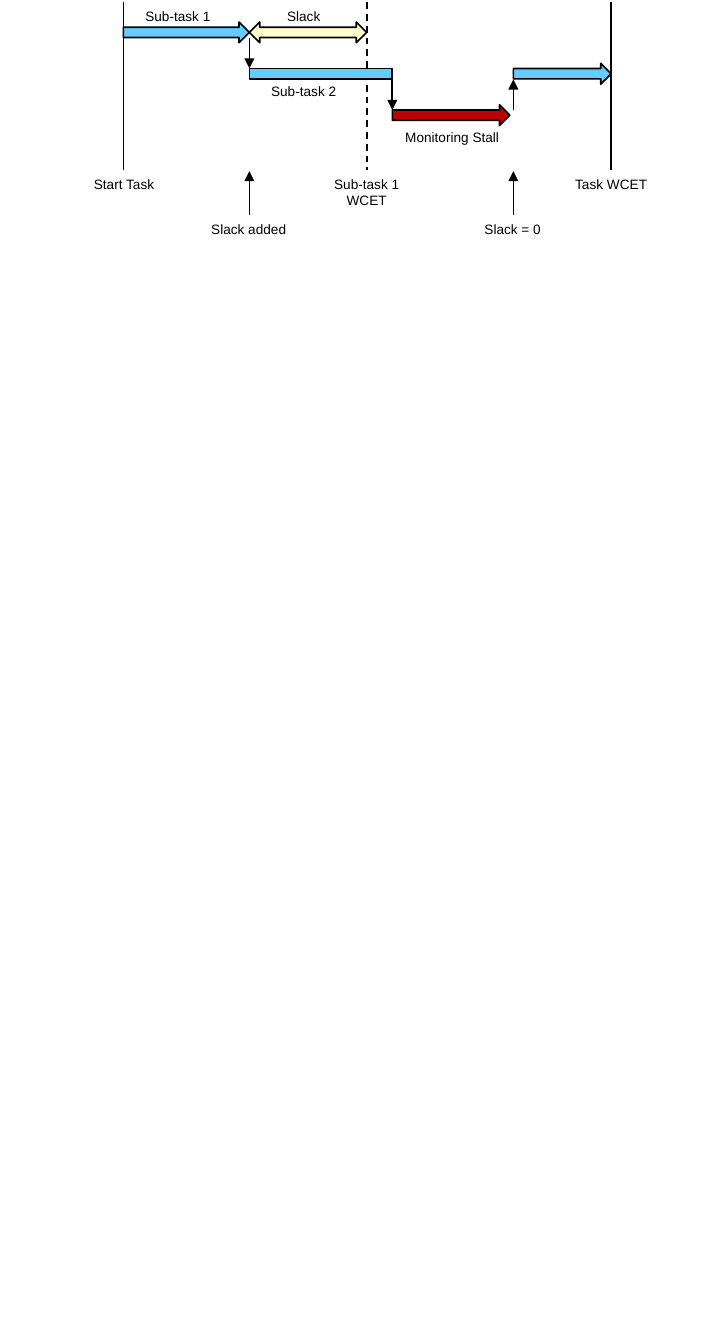
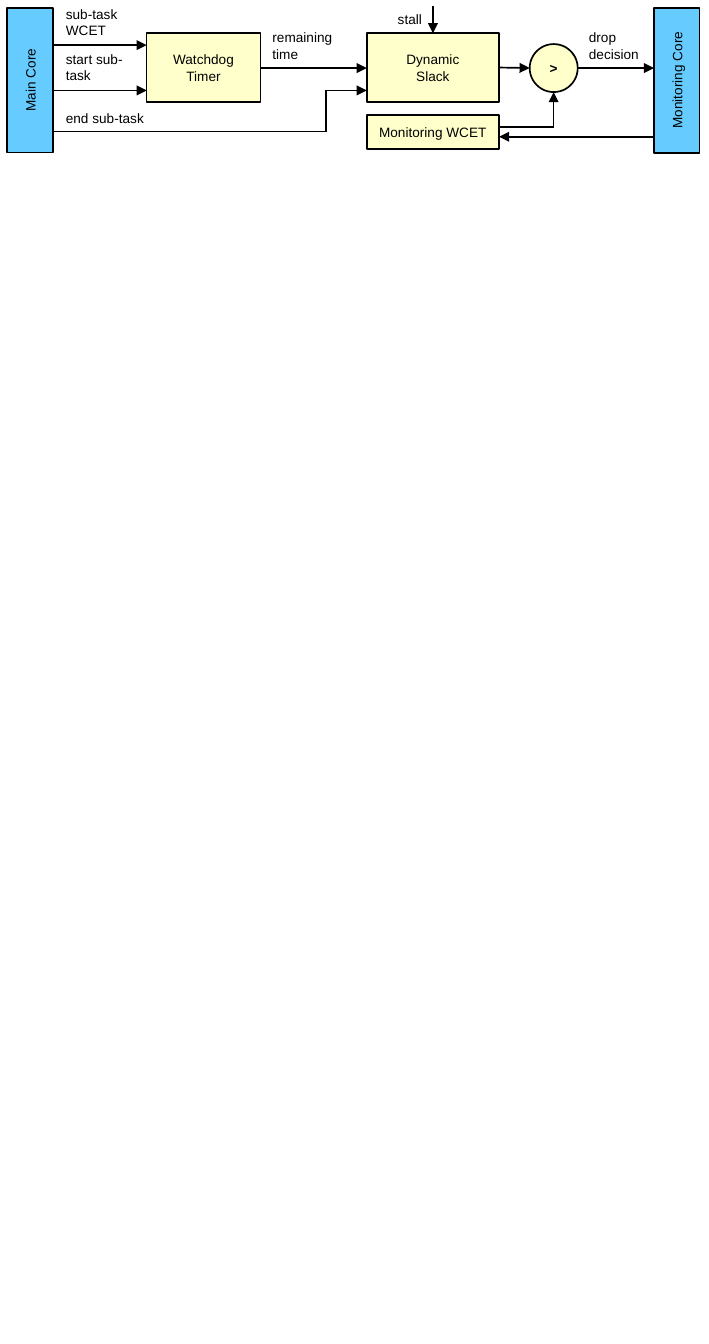
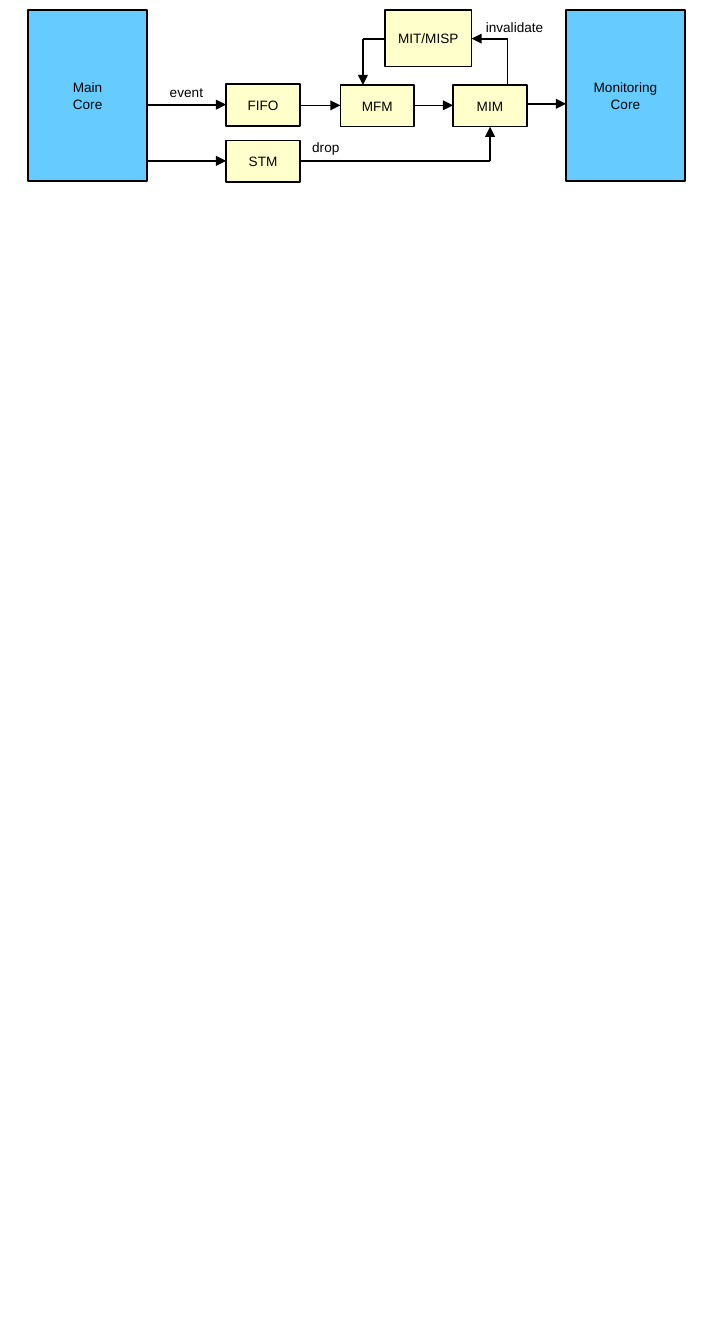
from lxml.etree import SubElement
from pptx import Presentation
from pptx.dml.color import RGBColor
from pptx.enum.dml import MSO_LINE
from pptx.enum.shapes import MSO_CONNECTOR, MSO_SHAPE as SHAPE
from pptx.enum.text import MSO_ANCHOR, MSO_AUTO_SIZE, PP_ALIGN as AL
from pptx.oxml.ns import qn
from pptx.util import Pt

# Shared style
BLACK = RGBColor(0x00, 0x00, 0x00)
BLUE = RGBColor(0x66, 0xCC, 0xFF)
CREAM = RGBColor(0xFF, 0xFF, 0xCC)
RED = RGBColor(0xC0, 0x00, 0x00)
FONT, SIZE, LINE = "Arial", 8, 1
LABEL_HEIGHT = {1: 17.3, 2: 26.6}
RECT, RIGHT, BOTH, OVAL = (SHAPE.RECTANGLE, SHAPE.RIGHT_ARROW,
                           SHAPE.LEFT_RIGHT_ARROW, SHAPE.OVAL)

# Timeline: moments along x, one row per lane
START, ADDED, SUB_END, STALL, ZERO, END = 72.7, 146.9, 216, 231.1, 302.4, 360
LANES = [19.1 + 24.4 * i for i in range(3)]
ARROW_H, BAR_H, DROP = 12.2, 6.1, 18
AXIS_TOP, AXIS_END = 1.4, 100.4


def lane_bar(lane, x1, x2, color, kind=RIGHT):
    h = BAR_H if kind == RECT else ARROW_H
    return dict(at=(x1, LANES[lane] - h / 2, x2 - x1, h), fill=color, kind=kind)


def centered(text, x, y, w, lines=1):
    return text, x - w / 2, y, w, lines, AL.CENTER


# Each box: position, fill, text. Each path: points, arrowhead on the last one.
# Each label: text, left, top, width, number of lines, alignment.
timeline = dict(
    rules=[(START, None), (END, None), (SUB_END, MSO_LINE.DASH)],
    boxes=[
        lane_bar(0, START, ADDED, BLUE),
        lane_bar(0, ADDED, SUB_END, CREAM, BOTH),
        lane_bar(1, ADDED, STALL, BLUE, RECT),
        lane_bar(1, ZERO, END, BLUE),
        lane_bar(2, STALL, 300.3, RED),
    ],
    paths=[
        [(ADDED, 22.3), (ADDED, 22.3 + DROP)],
        [(STALL, 46.8), (STALL, 46.8 + DROP)],
        [(ZERO, 46.8 + DROP), (ZERO, 46.8)],
    ] + [[(x, 126.7), (x, 100.8)] for x in (ADDED, ZERO)],
    labels=[
        centered("Sub-task 1", 104.8, 1.4, 70),
        centered("Slack", 178.9, 1.4, 42.5),
        centered("Sub-task 2", 178.9, 45.4, 70),
        centered("Monitoring Stall", 266.4, 72.7, 83.5),
        centered("Start Task", 73.1, 100.1, 65.5),
        centered("Sub-task 1 WCET", SUB_END, 100.1, 72.7, 2),
        centered("Task WCET", END, 100.1, 65.5),
        centered("Slack added", 146.5, 126.7, 87),
        centered("Slack = 0", 302, 126.7, 64),
    ],
)

slack_unit = dict(
    boxes=[
        dict(at=(4.3, 4.8, 26.9, 85), fill=BLUE, text="Main Core", vert=True),
        dict(at=(385.2, 4.6, 26.9, 85.4), fill=BLUE, text="Monitoring Core", vert=True),
        dict(at=(86.4, 19.6, 67, 40.4), fill=CREAM, text="Watchdog Timer"),
        dict(at=(216, 19.6, 78, 40.4), fill=CREAM, text="Dynamic\nSlack"),
        dict(at=(216, 67.7, 78, 20.2), fill=CREAM, text="Monitoring WCET", wrap=False),
        dict(at=(312, 26, 28.3, 28.3), fill=CREAM, text=">", kind=OVAL, bold=True),
    ],
    paths=[
        [(31.4, 26.6), (86.4, 26.6)],
        [(31.4, 53.3), (86.4, 53.3)],
        [(31.2, 77.6), (192, 77.6), (192, 53.3), (216, 53.3)],
        [(153.4, 40.1), (216, 40.1)],
        [(255, 3.6), (255, 19.6)],
        [(294.2, 39.8), (312, 40.1)],
        [(294.2, 74.7), (326.1, 74.7), (326.1, 54.3)],
        [(340.3, 40.1), (385.2, 40.1)],
        [(385.2, 80.6), (294, 80.6)],
    ],
    labels=[
        ("sub-task WCET", 31.7, 0, 54, 2, AL.LEFT),
        ("start sub-task", 31.7, 26.6, 54, 2, AL.LEFT),
        ("end sub-task", 31.7, 61.2, 78.5, 1, AL.LEFT),
        ("remaining time", 153.4, 13.7, 62.6, 2, AL.LEFT),
        ("stall", 218.2, 2.9, 37.4, 1, AL.RIGHT),
        ("drop decision", 339.8, 13.7, 55.4, 2, AL.LEFT),
    ],
)

CORE = dict(top=5.8, w=70, h=101)
UNIT_W, UNIT_H = 43.6, 24.4
filter_unit = dict(
    boxes=[
        dict(at=(x, CORE["top"], CORE["w"], CORE["h"]), fill=BLUE, text=text)
        for text, x in [("Main\nCore", 16.6), ("Monitoring Core", 333.4)]
    ] + [
        dict(at=(x, y, UNIT_W, UNIT_H), fill=CREAM, text=text)
        for text, x, y in [("FIFO", 133.2, 49.7), ("STM", 133.2, 82.8),
                           ("MFM", 200.5, 50.1), ("MIM", 266.8, 50.1)]
    ] + [dict(at=(226.8, 5.8, 51, 33.4), fill=CREAM, text="MIT/MISP", wrap=False)],
    paths=[
        [(86.6, 61.7), (133.2, 61.7)],
        [(86.6, 94.8), (133.2, 94.8)],
        [(176.8, 62.1), (200.5, 62.1)],
        [(243.6, 62.1), (266.8, 62.1)],
        [(310.3, 61.2), (333.4, 61.2)],
        [(176.8, 94.8), (288.7, 94.8), (288.7, 74.7)],
        [(299, 50), (299, 22.8), (277.8, 22.8)],
        [(227.2, 22.8), (213.8, 22.8), (213.8, 50.1)],
    ],
    labels=[
        centered("event", 109.8, 46.1, 46.8),
        centered("drop", 191.9, 78.5, 36.7),
        centered("invalidate", 303.1, 7.9, 66.2),
    ],
)


# Drawing helpers
def write(tf, text, align=AL.CENTER, bold=False, wrap=True):
    tf.word_wrap = wrap
    for i, line in enumerate(text.split("\n")):
        p = tf.paragraphs[0] if i == 0 else tf.add_paragraph()
        p.alignment = align
        r = p.add_run()
        r.text = line
        r.font.name, r.font.size, r.font.bold = FONT, Pt(SIZE), bold
        r.font.color.rgb = BLACK


def add_box(s, at, fill, text="", kind=RECT, vert=False, **fmt):
    sp = s.shapes.add_shape(kind, *map(Pt, at))
    sp.shadow.inherit = False
    sp.fill.solid()
    sp.fill.fore_color.rgb = fill
    sp.line.color.rgb, sp.line.width = BLACK, Pt(LINE)
    if text:
        sp.text_frame.vertical_anchor = MSO_ANCHOR.MIDDLE
        write(sp.text_frame, text, **fmt)
    if vert:
        sp.element.txBody.find(qn("a:bodyPr")).set("vert", "vert270")


def add_line(s, start, end, arrow=False, dash=None):
    cx = s.shapes.add_connector(MSO_CONNECTOR.STRAIGHT, *map(Pt, start + end))
    cx.line.color.rgb, cx.line.width = BLACK, Pt(LINE)
    if dash:
        cx.line.dash_style = dash
    if arrow:
        SubElement(cx.line._get_or_add_ln(), qn("a:tailEnd"), type="triangle")
    SubElement(cx.element.spPr, qn("a:effectLst"))


def add_path(s, points):
    for i in range(1, len(points)):
        add_line(s, points[i - 1], points[i], arrow=i == len(points) - 1)


def add_label(s, text, x, y, w, lines, align):
    tb = s.shapes.add_textbox(*map(Pt, (x, y, w, LABEL_HEIGHT[lines])))
    write(tb.text_frame, text, align=align)
    tb.text_frame.auto_size = MSO_AUTO_SIZE.SHAPE_TO_FIT_TEXT


# Build the slides
prs = Presentation()
prs.slide_width, prs.slide_height = Pt(417.6), Pt(792)
for diagram in (timeline, slack_unit, filter_unit):
    s = prs.slides.add_slide(prs.slide_layouts[6])
    for x, dash in diagram.get("rules", []):
        add_line(s, (x, AXIS_TOP), (x, AXIS_END), dash=dash)
    for box in diagram["boxes"]:
        add_box(s, **box)
    for points in diagram["paths"]:
        add_path(s, points)
    for label in diagram["labels"]:
        add_label(s, *label)

prs.save("out.pptx")
